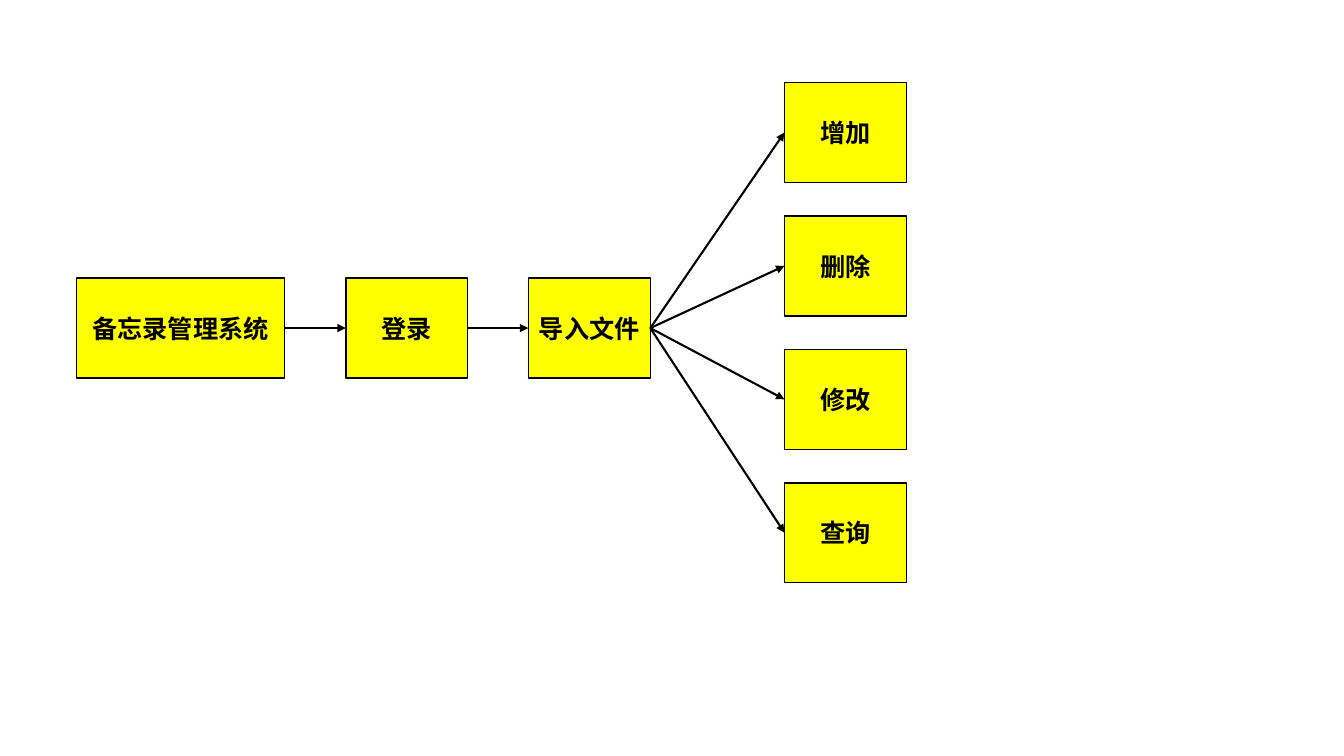
from dataclasses import dataclass

from lxml.etree import SubElement
from pptx import Presentation
from pptx.dml.color import RGBColor as Rgb
from pptx.enum.shapes import MSO_CONNECTOR as Link, MSO_SHAPE as Form
from pptx.enum.text import MSO_ANCHOR as Anchor, PP_ALIGN as Align
from pptx.oxml.ns import qn
from pptx.shapes.autoshape import Shape
from pptx.slide import Slide
from pptx.text.text import TextFrame
from pptx.util import Inches, Pt

COLORS = {"fill": "FFFF00", "ink": "000000"}
FONT = "Noto Sans CJK SC"
WIDTH, HEIGHT = 1.21, 0.99
FLOW_TOP = 2.76
MENU_LEFT, MENU_TOP, MENU_LAST = 7.78, 0.82, 4.79
LEFT, RIGHT = 1, 3


@dataclass
class Box:
    text: str
    left: float
    top: float = FLOW_TOP
    width: float = WIDTH


FLOW = [
    Box("备忘录管理系统", 0.76, width=2.06),
    Box("登录", 3.43),
    Box("导入文件", 5.24),
]
ACTIONS = ["增加", "删除", "修改", "查询"]
STEP = (MENU_LAST - MENU_TOP) / (len(ACTIONS) - 1)
MENU = [Box(name, MENU_LEFT, MENU_TOP + i * STEP) for i, name in enumerate(ACTIONS)]


def color(name: str) -> Rgb:
    return Rgb.from_string(COLORS[name])


def write(frame: TextFrame, text: str, *, size: float = 18, bold: bool = True,
          ink: str = "ink", align: Align = Align.CENTER) -> None:
    frame.word_wrap = True
    frame.vertical_anchor = Anchor.MIDDLE
    frame.margin_left = frame.margin_right = Inches(0.05)
    para = frame.paragraphs[0]
    para.alignment = align
    run = para.add_run()
    run.text = text
    font = run.font
    font.size, font.bold, font.name = Pt(size), bold, FONT
    font.color.rgb = color(ink)
    SubElement(font._element, qn("a:ea"), typeface=FONT)


def draw(slide: Slide, box: Box) -> Shape:
    shape = slide.shapes.add_shape(
        Form.RECTANGLE, Inches(box.left), Inches(box.top),
        Inches(box.width), Inches(HEIGHT))
    shape.shadow.inherit = False
    shape.fill.solid()
    shape.fill.fore_color.rgb = color("fill")
    shape.line.color.rgb = color("ink")
    shape.line.width = Pt(1)
    write(shape.text_frame, box.text)
    return shape


def join(slide: Slide, start: Shape, end: Shape) -> None:
    """Draw an arrow from the right side of start to the left side of end."""
    arrow = slide.shapes.add_connector(Link.STRAIGHT, 0, 0, 0, 0)
    arrow.begin_connect(start, RIGHT)
    arrow.end_connect(end, LEFT)
    arrow.line.color.rgb = color("ink")
    arrow.line.width = Pt(1.5)
    SubElement(arrow.line._get_or_add_ln(), qn("a:tailEnd"), type="triangle")
    SubElement(arrow._element.spPr, qn("a:effectLst"))


def main() -> None:
    deck = Presentation()
    deck.slide_width, deck.slide_height = Inches(13.33), Inches(7.5)
    slide = deck.slides.add_slide(deck.slide_layouts[6])
    flow = [draw(slide, box) for box in FLOW]
    menu = [draw(slide, box) for box in MENU]
    for start, end in zip(flow, flow[1:]):
        join(slide, start, end)
    for action in menu:
        join(slide, flow[-1], action)
    deck.save("out.pptx")


if __name__ == "__main__":
    main()
